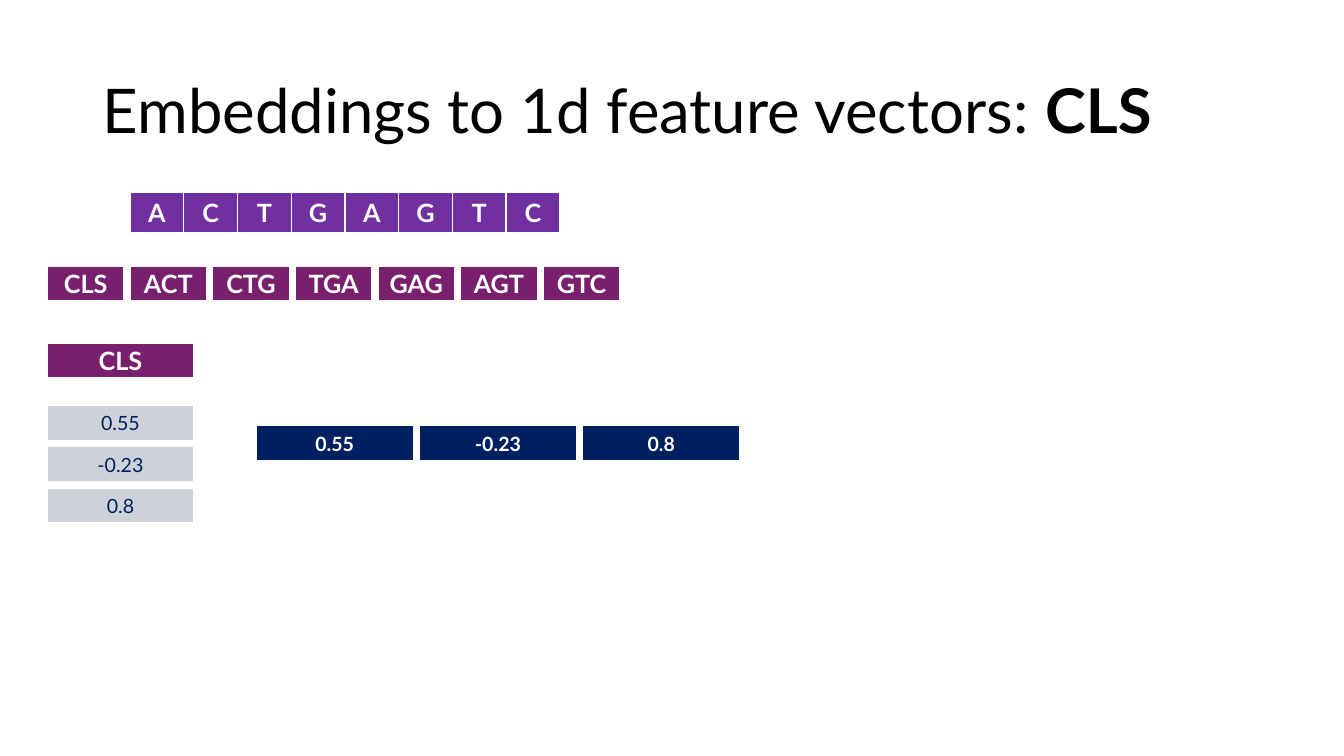
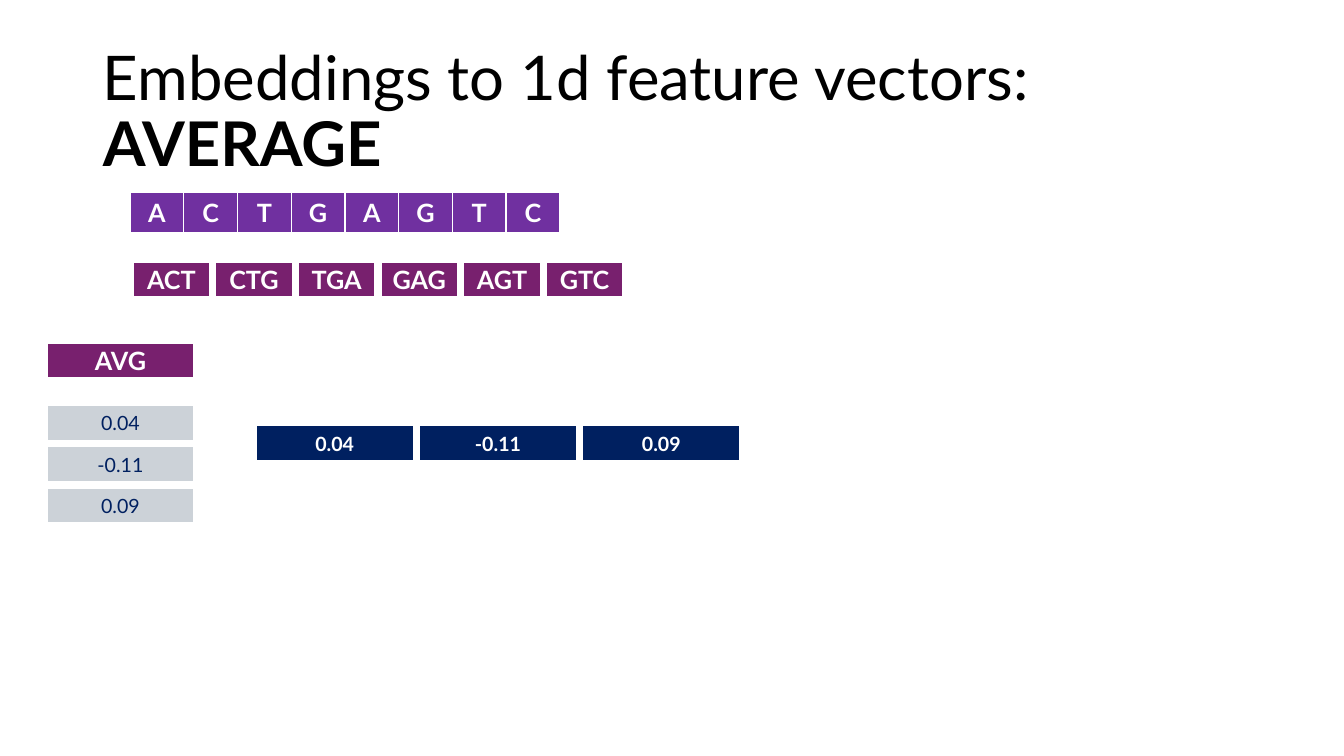
import pptx
import pptx.util
import pptx.dml.color
import pptx.enum.text
import lxml.etree
from dataclasses import dataclass

BASES = "ACTGAGTC"
KMERS = [BASES[i:i + 3] for i in range(len(BASES) - 2)]
LEAD = "Embeddings to 1d feature vectors: "

SLIDES = [
    {"name": "CLS", "head": "CLS", "tokens": ["CLS"] + KMERS,
     "place": (44, 261), "values": ["0.55", "-0.23", "0.8"]},
    {"name": "AVERAGE", "head": "AVG", "tokens": KMERS,
     "place": (129, 257), "values": ["0.04", "-0.11", "0.09"]},
]


@dataclass(frozen=True)
class Theme:
    font: str = "Lato"
    black: str = "000000"
    white: str = "FFFFFF"
    violet: str = "7030A0"
    plum: str = "78206E"
    grey: str = "CCD2D8"
    navy: str = "002060"
    title: int = 44
    label: int = 18
    value: int = 14
    thin: int = 1
    thick: int = 6


THEME = Theme()


def px(n):
    """Turn px, 100 to the inch, into EMU."""
    return pptx.util.Emu(n * 9144)


def rgb(code):
    return pptx.dml.color.RGBColor.from_string(code)


def style(run, size, color, bold):
    font = run.font
    font.name = THEME.font
    font.size = pptx.util.Pt(size)
    font.bold = bold
    font.color.rgb = rgb(color)


def edge(cell, width):
    """Draw white borders; call before the fill, which must follow them."""
    props = cell._tc.get_or_add_tcPr()
    space = pptx.oxml.ns.nsdecls("a")
    for side in "LRTB":
        props.append(pptx.oxml.parse_xml(
            f'<a:ln{side} {space} w="{pptx.util.Pt(width)}"><a:solidFill>'
            f'<a:srgbClr val="{THEME.white}"/></a:solidFill></a:ln{side}>'))


def add_grid(slide, rows, place, size, fill, color=THEME.white,
             type_size=THEME.label, bold=True, border=THEME.thick, tight=False):
    """Add a table of equal cells; size is that of one cell."""
    wide, high = size
    count = len(rows[0])
    table = slide.shapes.add_table(
        len(rows), count, px(place[0]), px(place[1]),
        px(wide * count), px(high * len(rows))).table
    table.first_row = table.horz_banding = False
    for cell, text in zip(table.iter_cells(), sum(rows, [])):
        edge(cell, border)
        cell.fill.solid()
        cell.fill.fore_color.rgb = rgb(fill)
        cell.vertical_anchor = pptx.enum.text.MSO_ANCHOR.MIDDLE
        if tight:
            cell.margin_left = cell.margin_top = cell.margin_right = px(1)
            cell.margin_bottom = 0
        para = cell.text_frame.paragraphs[0]
        para.text = text
        para.alignment = pptx.enum.text.PP_ALIGN.CENTER
        style(para.runs[0], type_size, color, bold)


def set_title(slide, name):
    title = slide.shapes.title
    title.left, title.top, title.width, title.height = map(px, (92, 40, 1150, 145))
    frame = title.text_frame
    frame.word_wrap = True
    frame.auto_size = pptx.enum.text.MSO_AUTO_SIZE.NONE
    frame.vertical_anchor = pptx.enum.text.MSO_ANCHOR.MIDDLE
    para = frame.paragraphs[0]
    para.text = LEAD
    para.add_run().text = name
    para.alignment = pptx.enum.text.PP_ALIGN.LEFT
    para.line_spacing = 0.9
    for run, bold in zip(para.runs, (False, True)):
        style(run, THEME.title, THEME.black, bold)


def build(deck, data):
    slide = deck.slides.add_slide(deck.slide_layouts.get_by_name("Title Only"))
    set_title(slide, data["name"])
    values = data["values"]
    add_grid(slide, [list(BASES)], (129, 191), (53.3, 40), THEME.violet,
             border=THEME.thin)
    add_grid(slide, [data["tokens"]], data["place"], (82, 40), THEME.plum)
    add_grid(slide, [[data["head"]]], (44, 338), (151, 40), THEME.plum)
    add_grid(slide, [[v] for v in values], (44, 399), (151, 41), THEME.grey,
             THEME.navy, THEME.value, bold=False, tight=True)
    add_grid(slide, [values], (251, 419), (162, 41), THEME.navy,
             type_size=THEME.value, tight=True)


def main():
    deck = pptx.Presentation()
    deck.slide_width, deck.slide_height = px(1333), px(750)
    for data in SLIDES:
        build(deck, data)
    deck.save("out.pptx")


if __name__ == "__main__":
    main()
